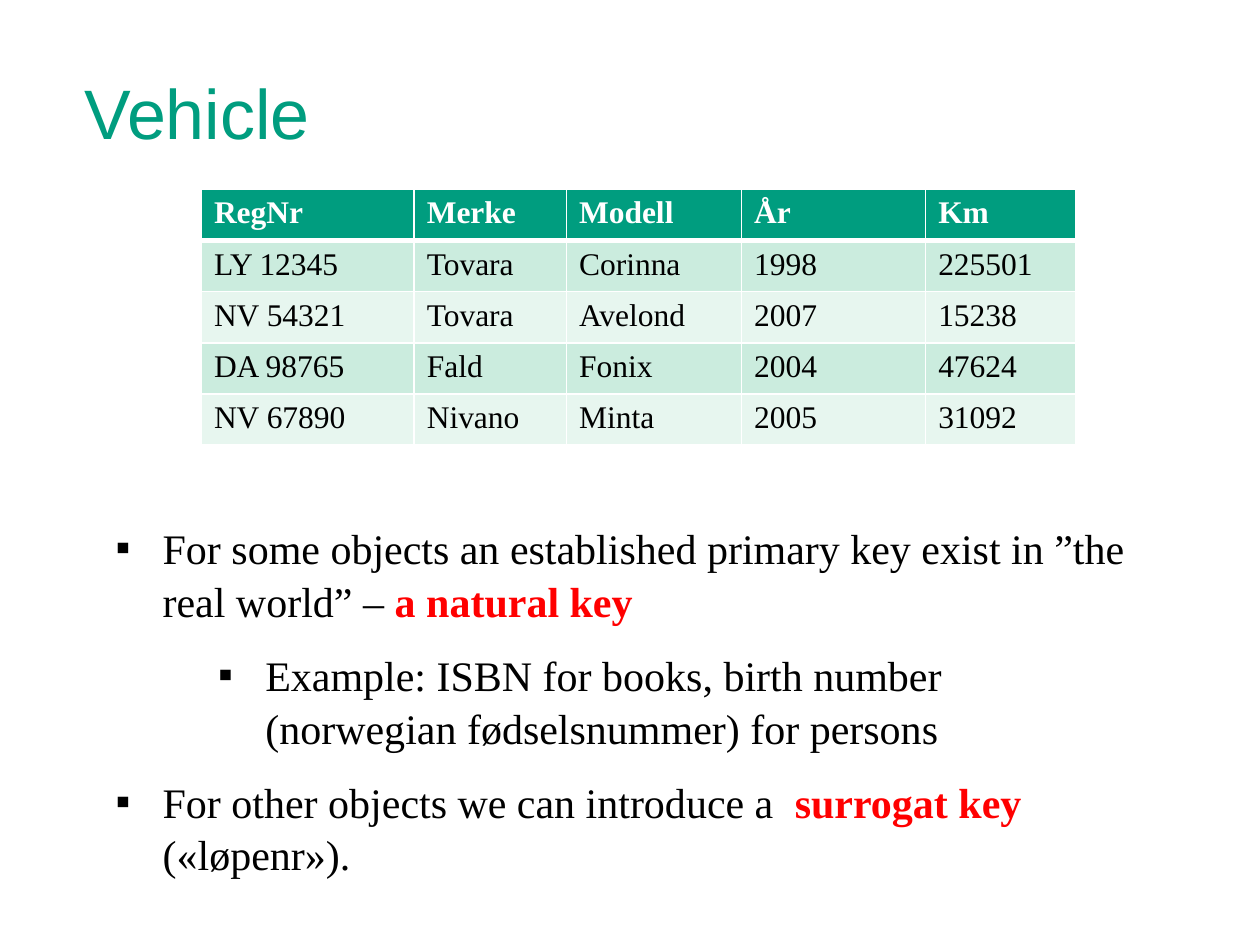
"""Build the Vehicle slide: a table of cars above notes on primary keys."""
from dataclasses import dataclass

from lxml.etree import SubElement
from pptx import Presentation
from pptx.dml.color import RGBColor as RGB
from pptx.enum.text import MSO_ANCHOR as Anchor
from pptx.oxml.ns import qn
from pptx.util import Cm, Pt

TITLE = "Vehicle"
ROWS = [
    ("RegNr", "Merke", "Modell", "År", "Km"),
    ("LY 12345", "Tovara", "Corinna", "1998", "225501"),
    ("NV 54321", "Tovara", "Avelond", "2007", "15238"),
    ("DA 98765", "Fald", "Fonix", "2004", "47624"),
    ("NV 67890", "Nivano", "Minta", "2005", "31092"),
]
WIDTHS = (4.29, 3.07, 3.53, 3.71, 3.02)
NOTES = [
    (0, [("For some objects an established primary key exist in ”the real world” – ", False),
         ("a natural key", True)]),
    (1, [("Example: ISBN for books, birth number (norwegian fødselsnummer) for persons", False)]),
    (0, [("For other objects we can introduce a  ", False),
         ("surrogat key ", True), ("(«løpenr»).", False)]),
]


@dataclass(frozen=True)
class Theme:
    """Colours, fonts and type sizes."""
    green: str = "009D7F"
    bands: tuple = ("E7F6EF", "CBECDE")
    white: str = "FFFFFF"
    black: str = "000000"
    red: str = "FF0000"
    head: str = "Arial"
    body: str = "Times New Roman"
    big: int = 40
    mid: int = 24
    small: int = 18


look = Theme()


def style(run, name, size, color, bold=False):
    """Format one run."""
    font = run.font
    font.name, font.size, font.bold = name, Pt(size), bold
    font.color.rgb = RGB.from_string(color)


def add_box(slide, *place):
    """Add a wrapping text box and return its frame."""
    frame = slide.shapes.add_textbox(*map(Cm, place)).text_frame
    frame.word_wrap = True
    return frame


def edge(cell, side, width):
    """Draw one white cell border."""
    line = SubElement(cell._tc.get_or_add_tcPr(), qn("a:" + side), w=str(Pt(width)))
    fill = SubElement(line, qn("a:solidFill"))
    SubElement(fill, qn("a:srgbClr"), val=look.white)


def add_title(slide):
    """Add the heading."""
    frame = add_box(slide, 1.7, 1.4, 18.95, 1.7)
    frame.margin_left = frame.margin_right = frame.margin_top = frame.margin_bottom = 0
    frame.vertical_anchor = Anchor.BOTTOM
    frame.text = TITLE
    style(frame.paragraphs[0].runs[0], look.head, look.big, look.green)


def add_cars(slide):
    """Add the banded table."""
    high = 1.03
    place = map(Cm, (4.06, 3.82, sum(WIDTHS), high * len(ROWS)))
    table = slide.shapes.add_table(len(ROWS), len(WIDTHS), *place).table
    for col, width in zip(table.columns, WIDTHS):
        col.width = Cm(width)
    for r, row in enumerate(ROWS):
        table.rows[r].height = Cm(high)
        for c, text in enumerate(row):
            cell = table.cell(r, c)
            cell.text = text
            top = r == 0
            style(cell.text_frame.paragraphs[0].runs[0], look.body, look.small,
                  look.white if top else look.black, top)
            for side, width in (("lnL", 1), ("lnR", 1), ("lnT", 3 if r == 1 else 1),
                                ("lnB", 3 if top else 1)):
                edge(cell, side, width)
            cell.fill.solid()
            cell.fill.fore_color.rgb = RGB.from_string(look.green if top else look.bands[r % 2])


def add_notes(slide):
    """Add the bulleted text."""
    frame = add_box(slide, 2.08, 10.36, 21.2, 7.44)
    for i, (level, parts) in enumerate(NOTES):
        para = frame.add_paragraph() if i else frame.paragraphs[0]
        para.level = level
        para.space_before = Pt(look.mid / 2)
        para.line_spacing = 1.05
        props = para._p.get_or_add_pPr()
        props.set("marL", str(Cm(0.95 + 2.07 * level)))
        props.set("indent", str(Cm(-0.95)))
        SubElement(props, qn("a:buFont"), typeface=look.body)
        SubElement(props, qn("a:buChar"), char="▪")
        for text, key in parts:
            run = para.add_run()
            run.text = text
            style(run, look.body, look.mid, look.red if key else look.black, key)


def main():
    """Build and save the slide."""
    deck = Presentation()
    deck.slide_width, deck.slide_height = Cm(25.4), Cm(19.05)
    slide = deck.slides.add_slide(deck.slide_layouts[6])
    add_title(slide)
    add_cars(slide)
    add_notes(slide)
    deck.save("out.pptx")


main()
